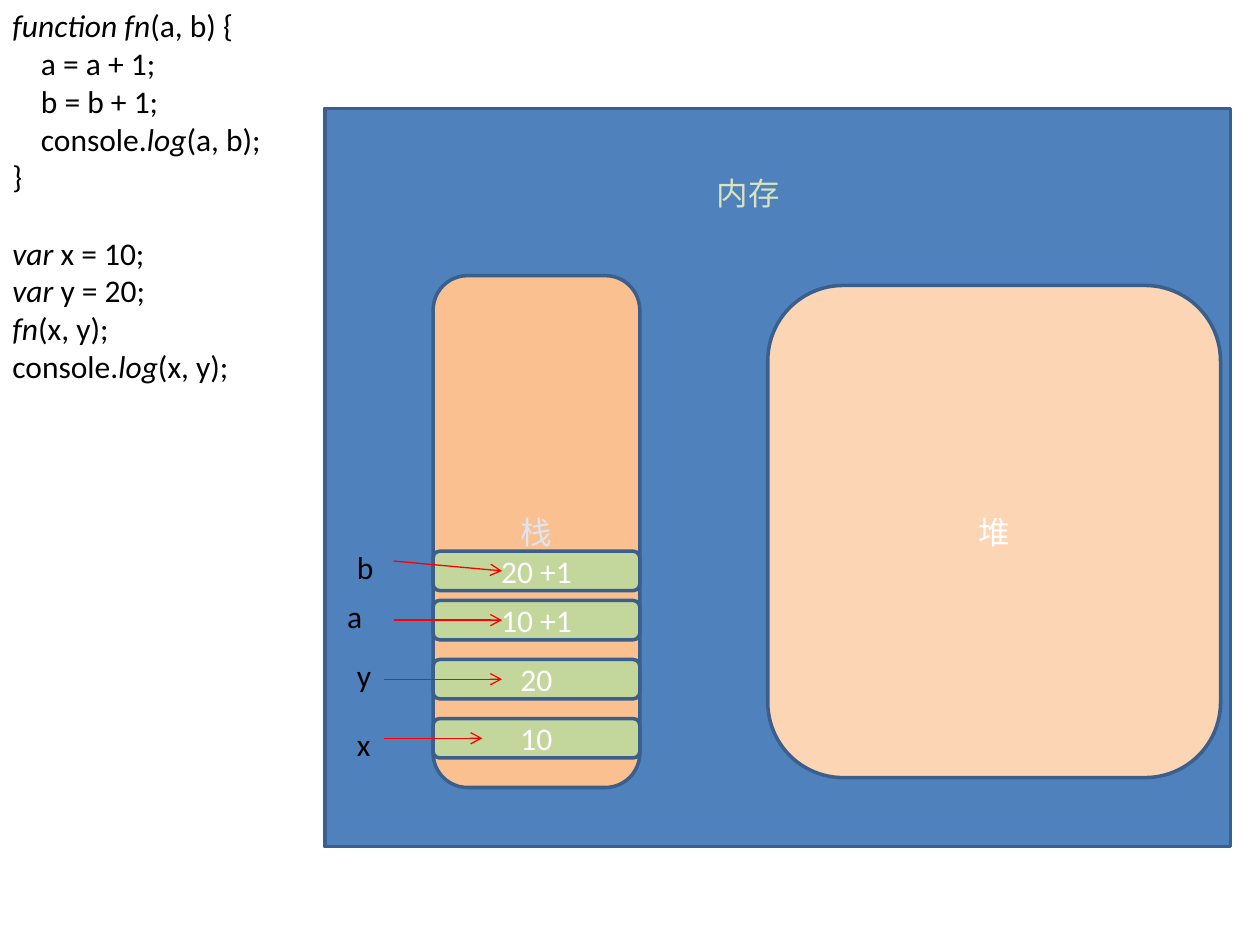
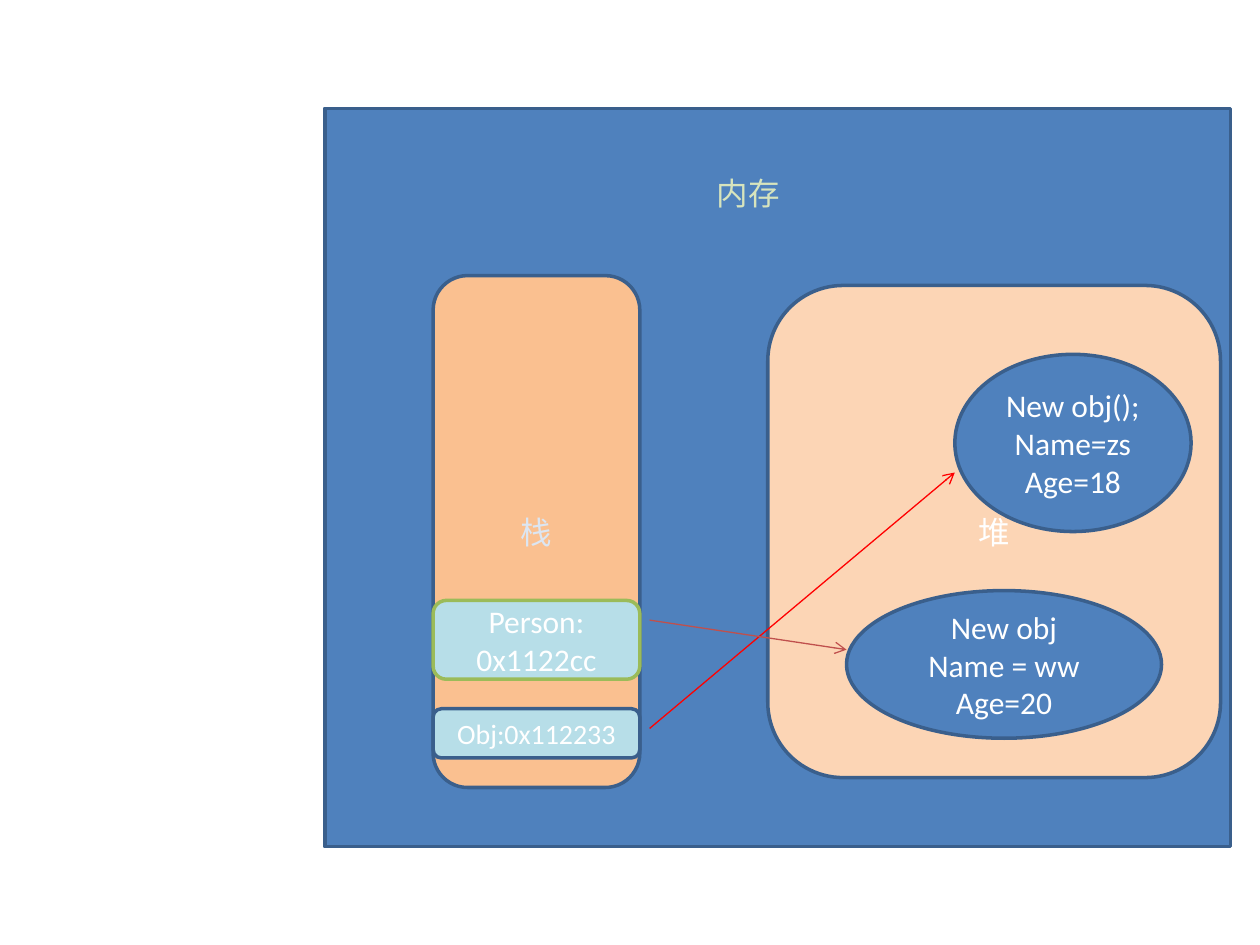
"""Build two slides that show how values and objects sit in stack and heap memory."""
import dataclasses

import lxml.etree
import pptx
import pptx.dml.color
import pptx.enum.shapes
import pptx.enum.text
import pptx.oxml.ns
import pptx.presentation
import pptx.shapes.base
import pptx.slide
import pptx.text.text
import pptx.util

WIDTH, HEIGHT = pptx.util.Inches(10), pptx.util.Inches(7.5)
COLUMNS, ROWS = 128, 96
FONT = "Calibri"
BLUE, EDGE, GREEN_EDGE = "4F81BD", "3A5F8C", "9BBB59"
STACK_FILL, HEAP_FILL, VALUE_FILL, REFERENCE_FILL = "FAC090", "FCD5B5", "C3D69B", "B7DEE8"
WHITE, BLACK, RED, BRICK = "FFFFFF", "000000", "FF0000", "C0504D"
TITLE_COLOR, STACK_TEXT = "D7E4BD", "DCE6F2"
STACK_LEFT, STACK_WIDTH = 44, 21
CODE_INDENT, CODE_LINE = pptx.util.Pt(16.3), pptx.util.Pt(22)

RECTANGLE = pptx.enum.shapes.MSO_SHAPE.RECTANGLE
ROUNDED = pptx.enum.shapes.MSO_SHAPE.ROUNDED_RECTANGLE
OVAL = pptx.enum.shapes.MSO_SHAPE.OVAL
CENTER = pptx.enum.text.PP_ALIGN.CENTER
LEFT = pptx.enum.text.PP_ALIGN.LEFT


@dataclasses.dataclass(frozen=True)
class Area:
    """A block of grid cells."""
    column: int
    row: int
    columns: int
    rows: int


@dataclasses.dataclass(frozen=True)
class Block:
    """A filled shape with centred text."""
    area: Area
    fill: str
    text: str = ""
    kind: pptx.enum.shapes.MSO_SHAPE = ROUNDED
    edge: str = EDGE
    color: str = WHITE
    size: int = 18


@dataclasses.dataclass(frozen=True)
class Arrow:
    """An arrow between two grid points."""
    start: tuple[int, int]
    end: tuple[int, int]
    color: str = RED


@dataclasses.dataclass(frozen=True)
class Variable:
    """A stack cell with its name and the arrow that joins them."""
    name: str
    value: str
    row: int
    name_at: tuple[int, int]
    arrow: Arrow


@dataclasses.dataclass(frozen=True)
class CodeLine:
    """A line of code, with italic parts between asterisks."""
    text: str
    level: int = 0
    gap_lines: int = 0


MEMORY = Block(Area(33, 11, 92, 75), BLUE, kind=RECTANGLE)
TITLE_AREA = Area(70, 17, 12, 5)
CODE_AREA = Area(0, 0, 29, 40)
REGIONS = (
    Block(Area(STACK_LEFT, 28, STACK_WIDTH, 52), STACK_FILL, "栈", color=STACK_TEXT),
    Block(Area(78, 29, 46, 50), HEAP_FILL, "堆"),
)
CODE = (
    CodeLine("*function fn*(a, b) {"),
    CodeLine("a = a + 1;", level=1),
    CodeLine("b = b + 1;", level=1),
    CodeLine("console.*log*(a, b);", level=1),
    CodeLine("}"),
    CodeLine("*var *x = 10;", gap_lines=1),
    CodeLine("*var *y = 20;"),
    CodeLine("*fn*(x, y);"),
    CodeLine("console.*log*(x, y);"),
)
VARIABLES = (
    Variable("x", "10", 73, (35, 73), Arrow((39, 75), (49, 75))),
    Variable("y", "20", 67, (35, 66), Arrow((39, 69), (51, 69))),
    Variable("a", "10 +1", 61, (34, 60), Arrow((40, 63), (51, 63))),
    Variable("b", "20 +1", 56, (35, 55), Arrow((40, 57), (51, 58))),
)
OBJECTS = (
    Block(Area(STACK_LEFT, 72, STACK_WIDTH, 5), REFERENCE_FILL, "Obj:0x112233", size=16),
    Block(Area(97, 36, 24, 18), BLUE, "New obj();\nName=zs\nAge=18", OVAL),
    Block(Area(STACK_LEFT, 61, STACK_WIDTH, 8), REFERENCE_FILL, "Person:\n0x1122cc", edge=GREEN_EDGE),
    Block(Area(86, 60, 32, 15), BLUE, "New obj\nName = ww\nAge=20", OVAL),
)
REFERENCES = (Arrow((66, 74), (97, 48)), Arrow((66, 63), (86, 66), BRICK))


def rgb(color: str) -> pptx.dml.color.RGBColor:
    """Turn a hex string into a colour."""
    return pptx.dml.color.RGBColor.from_string(color)


def across(columns: int) -> int:
    """Give the length of a number of columns."""
    return round(WIDTH * columns / COLUMNS)


def down(rows: int) -> int:
    """Give the length of a number of rows."""
    return round(HEIGHT * rows / ROWS)


def bounds(area: Area) -> tuple[int, int, int, int]:
    """Give left, top, width and height of an area."""
    return across(area.column), down(area.row), across(area.columns), down(area.rows)


def format_span(span: pptx.text.text._Run, color: str, size: int = 18, italic: bool = False) -> None:
    """Set the font of one run."""
    span.font.name = FONT
    span.font.size = pptx.util.Pt(size)
    span.font.color.rgb = rgb(color)
    span.font.italic = italic


def write(box: pptx.shapes.base.BaseShape, text: str, color: str, size: int = 18,
          align: pptx.enum.text.PP_ALIGN = CENTER) -> None:
    """Fill a box with evenly formatted text."""
    frame = box.text_frame
    frame.text = text
    frame.word_wrap = True
    for para in frame.paragraphs:
        para.alignment = align
        for span in para.runs:
            format_span(span, color, size)


def draw_block(page: pptx.slide.Slide, block: Block) -> None:
    """Draw a filled shape."""
    box = page.shapes.add_shape(block.kind, *bounds(block.area))
    box.shadow.inherit = False
    box.fill.solid()
    box.fill.fore_color.rgb = rgb(block.fill)
    box.line.color.rgb = rgb(block.edge)
    box.line.width = pptx.util.Pt(2)
    if block.text:
        write(box, block.text, block.color, block.size)
        box.text_frame.vertical_anchor = pptx.enum.text.MSO_ANCHOR.MIDDLE


def draw_arrow(page: pptx.slide.Slide, arrow: Arrow) -> None:
    """Draw a thin line with an open arrowhead."""
    (start_column, start_row), (end_column, end_row) = arrow.start, arrow.end
    line = page.shapes.add_connector(
        pptx.enum.shapes.MSO_CONNECTOR.STRAIGHT,
        across(start_column), down(start_row), across(end_column), down(end_row))
    line.line.color.rgb = rgb(arrow.color)
    line.line.width = pptx.util.Pt(0.75)
    properties = line.element.spPr
    outline = properties.find(pptx.oxml.ns.qn("a:ln"))
    lxml.etree.SubElement(outline, pptx.oxml.ns.qn("a:tailEnd"), type="arrow")
    lxml.etree.SubElement(properties, pptx.oxml.ns.qn("a:effectLst"))


def draw_variable(page: pptx.slide.Slide, variable: Variable) -> None:
    """Draw a stack cell, its name and its arrow."""
    draw_block(page, Block(Area(STACK_LEFT, variable.row, STACK_WIDTH, 4), VALUE_FILL, variable.value))
    label = page.shapes.add_textbox(*bounds(Area(*variable.name_at, 9, 5)))
    write(label, variable.name, BLACK, align=LEFT)
    draw_arrow(page, variable.arrow)


def draw_code(page: pptx.slide.Slide) -> None:
    """Write the code listing."""
    frame = page.shapes.add_textbox(*bounds(CODE_AREA)).text_frame
    frame.word_wrap = False
    for number, line in enumerate(CODE):
        para = frame.add_paragraph() if number else frame.paragraphs[0]
        para.space_before = CODE_LINE * line.gap_lines
        para._p.get_or_add_pPr().set("marL", str(CODE_INDENT * line.level))
        for position, text in enumerate(line.text.split("*")):
            if text:
                span = para.add_run()
                span.text = text
                format_span(span, BLACK, italic=position % 2 == 1)


def add_memory_page(deck: pptx.presentation.Presentation) -> pptx.slide.Slide:
    """Add a slide with the titled memory panel, stack and heap."""
    page = deck.slides.add_slide(deck.slide_layouts.get_by_name("Title Only"))
    draw_block(page, MEMORY)
    title = page.shapes.title
    title.left, title.top, title.width, title.height = bounds(TITLE_AREA)
    write(title, "内存", TITLE_COLOR)
    title.text_frame.vertical_anchor = pptx.enum.text.MSO_ANCHOR.TOP
    title.text_frame.auto_size = pptx.enum.text.MSO_AUTO_SIZE.NONE
    page.shapes.element.append(title.element)
    for region in REGIONS:
        draw_block(page, region)
    return page


def main() -> None:
    """Build and save the deck."""
    deck = pptx.Presentation()
    deck.slide_width, deck.slide_height = WIDTH, HEIGHT

    values_page = add_memory_page(deck)
    draw_code(values_page)
    for variable in VARIABLES:
        draw_variable(values_page, variable)

    objects_page = add_memory_page(deck)
    for block in OBJECTS:
        draw_block(objects_page, block)
    for reference in REFERENCES:
        draw_arrow(objects_page, reference)

    deck.save("out.pptx")


if __name__ == "__main__":
    main()
